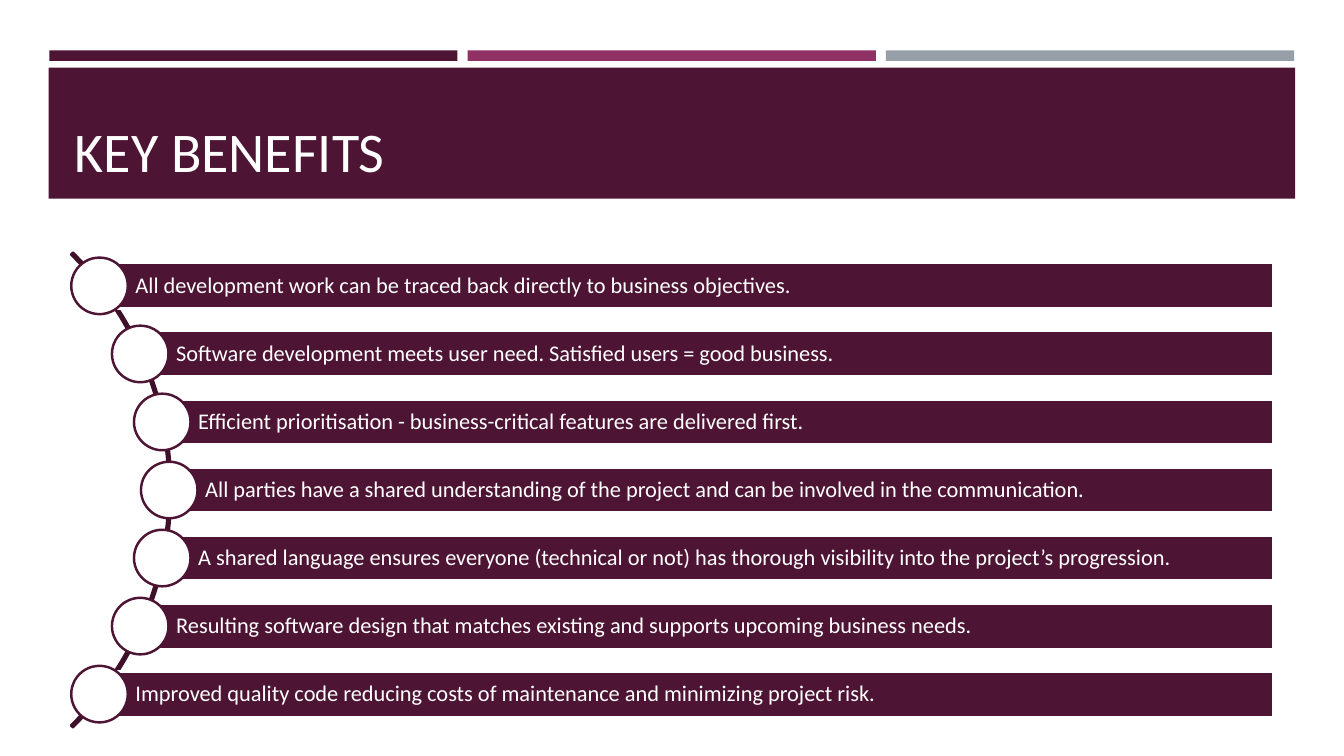
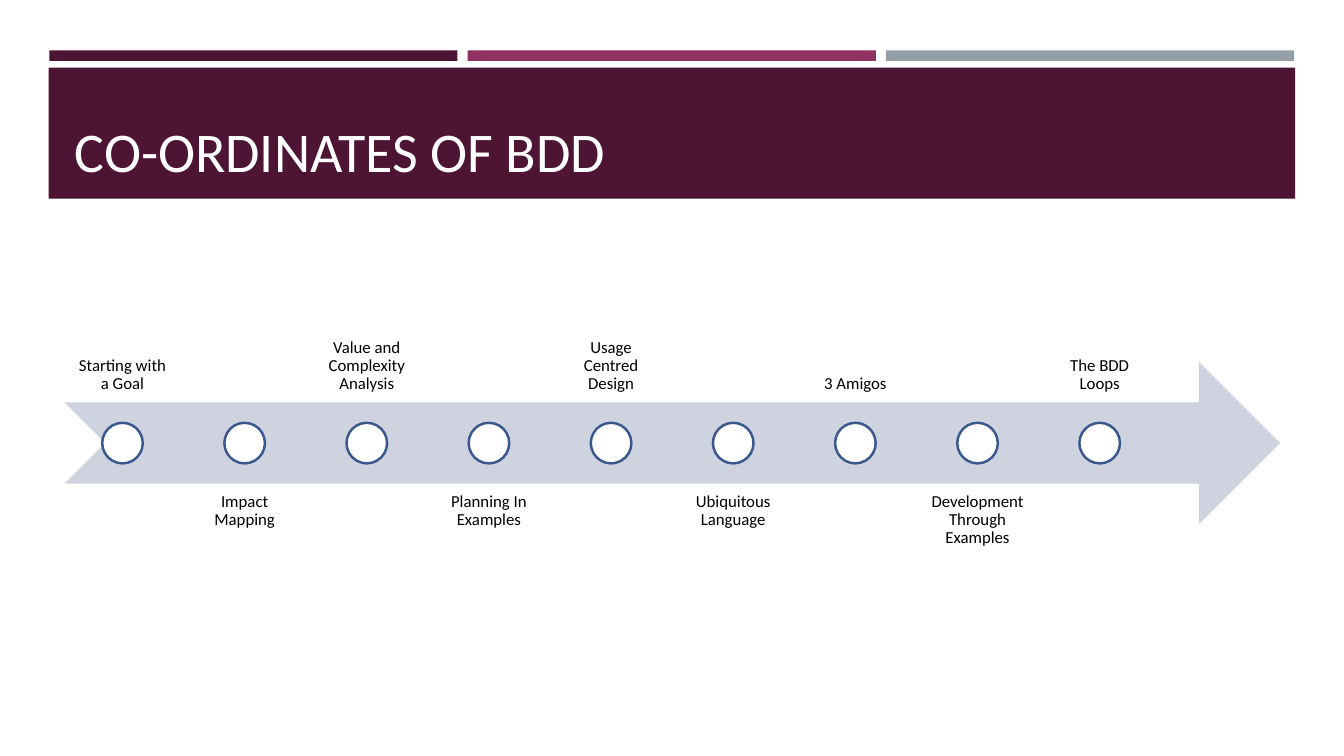
import math

from pptx import Presentation
from pptx import util as u
from pptx.dml.color import RGBColor
from pptx.enum import shapes, text

Pt = u.Pt
SHAPE = shapes.MSO_SHAPE
ALIGN = text.PP_ALIGN
ANCHOR = text.MSO_ANCHOR

FONT = "Calibri"
COLORS = {
    "plum": "4D1434",
    "magenta": "903163",
    "grey": "969FA7",
    "arc": "3E102A",
    "arrow": "CFD2DF",
    "blue": "3A588E",
    "white": "FFFFFF",
    "black": "000000",
}
OUTLINE = 1.75


def add_block(page, kind, left, top, width, height, fill, line=None):
    """Add a flat preset shape; lengths in points, colours by name."""
    block = page.shapes.add_shape(kind, Pt(left), Pt(top), Pt(width), Pt(height))
    block.shadow.inherit = False
    block.fill.solid()
    block.fill.fore_color.rgb = RGBColor.from_string(COLORS[fill])
    if line:
        block.line.color.rgb = RGBColor.from_string(COLORS[line])
        block.line.width = Pt(OUTLINE)
    else:
        block.line.fill.background()
    return block


def write(box, words, size, color, align=ALIGN.LEFT, anchor=ANCHOR.MIDDLE,
          insets=(0, 0, 0, 0), spacing=0.9):
    """Fill a shape with one paragraph; insets are left, top, right, bottom."""
    frame = box.text_frame
    frame.word_wrap = True
    frame.auto_size = text.MSO_AUTO_SIZE.NONE
    frame.vertical_anchor = anchor
    (frame.margin_left, frame.margin_top,
     frame.margin_right, frame.margin_bottom) = map(Pt, insets)
    para = frame.paragraphs[0]
    para.alignment = align
    para.line_spacing = spacing
    span = para.add_run()
    span.text = words
    span.font.name = FONT
    span.font.size = Pt(size)
    span.font.color.rgb = RGBColor.from_string(COLORS[color])


deck = Presentation()
deck.slide_width, deck.slide_height = Pt(960), Pt(540)
title_only = deck.slide_layouts[5]

# Shared header: three stripes above a filled title band
pages = []
for heading in ("KEY BENEFITS", "CO-ORDINATES OF BDD"):
    page = deck.slides.add_slide(title_only)
    for column, color in enumerate(("plum", "magenta", "grey")):
        add_block(page, SHAPE.RECTANGLE, 35.2 + column * 298.8, 36, 291.6, 7.5, color)
    title = page.shapes.title
    title.left, title.top = Pt(34.8), Pt(48.4)
    title.width, title.height = Pt(890.4), Pt(93.6)
    title.fill.solid()
    title.fill.fore_color.rgb = RGBColor.from_string(COLORS["plum"])
    write(title, heading, 40, "white", anchor=ANCHOR.BOTTOM,
          insets=(18.6, 3.6, 18.6, 10.4))
    pages.append(page)
benefits_page, coordinates_page = pages

# Key benefits: bars whose round markers sit on one arc
benefits = [
    "All development work can be traced back directly to business objectives.",
    "Software development meets user need. Satisfied users = good business.",
    "Efficient prioritisation - business-critical features are delivered first.",
    "All parties have a shared understanding of the project and can be involved in the communication.",
    "A shared language ensures everyone (technical or not) has thorough visibility into the project’s progression.",
    "Resulting software design that matches existing and supports upcoming business needs.",
    "Improved quality code reducing costs of maintenance and minimizing project risk.",
]
ARC_X, ARC_Y, ARC_SIZE = -117.4, 350, 479.5
MARKER_RADIUS = 238.3
BAR_STEP, BAR_HEIGHT, BAR_RIGHT = 48.6, 32.4, 909.4
MARKER = 40.4

arc = add_block(benefits_page, SHAPE.BLOCK_ARC, ARC_X - ARC_SIZE / 2,
                ARC_Y - ARC_SIZE / 2, ARC_SIZE, ARC_SIZE, "arc", "arc")
for index, setting in enumerate((189, 27, 0.004)):
    arc.adjustments[index] = setting

for row, benefit in enumerate(benefits):
    offset = (row - len(benefits) // 2) * BAR_STEP
    x = ARC_X + math.sqrt(MARKER_RADIUS ** 2 - offset ** 2)
    y = ARC_Y + offset
    bar = add_block(benefits_page, SHAPE.RECTANGLE, x, y - BAR_HEIGHT / 2,
                    BAR_RIGHT - x, BAR_HEIGHT, "plum", "white")
    write(bar, benefit, 16, "white", insets=(25.7, 2.9, 2.9, 2.9))
    add_block(benefits_page, SHAPE.OVAL, x - MARKER / 2, y - MARKER / 2,
              MARKER, MARKER, "white", "plum")

# Co-ordinates: milestones along an arrow, labels alternating above and below
milestones = [
    "Starting with a Goal",
    "Impact Mapping",
    "Value and Complexity Analysis",
    "Planning In Examples",
    "Usage Centred Design",
    "Ubiquitous Language",
    "3 Amigos",
    "Development Through Examples",
    "The BDD Loops",
]
ARROW_LEFT, ARROW_TOP, ARROW_HEIGHT = 46.1, 258.5, 116
LABEL_WIDTH, MILESTONE_STEP, DOT = 82.8, 87.25, 29
ABOVE, BELOW = ARROW_TOP - 0.75 * ARROW_HEIGHT, ARROW_TOP + 0.75 * ARROW_HEIGHT

add_block(coordinates_page, SHAPE.NOTCHED_RIGHT_ARROW, ARROW_LEFT, ARROW_TOP,
          868.3, ARROW_HEIGHT, "arrow")
for index, milestone in enumerate(milestones):
    left = ARROW_LEFT + index * MILESTONE_STEP
    is_above = index % 2 == 0
    label = coordinates_page.shapes.add_textbox(
        Pt(left), Pt(ABOVE if is_above else BELOW), Pt(LABEL_WIDTH), Pt(ARROW_HEIGHT))
    write(label, milestone, 12, "black", align=ALIGN.CENTER,
          anchor=ANCHOR.BOTTOM if is_above else ANCHOR.TOP, insets=(6.7,) * 4)
    add_block(coordinates_page, SHAPE.OVAL, left + (LABEL_WIDTH - DOT) / 2,
              ARROW_TOP + (ARROW_HEIGHT - DOT) / 2, DOT, DOT, "white", "blue")

deck.save("out.pptx")
